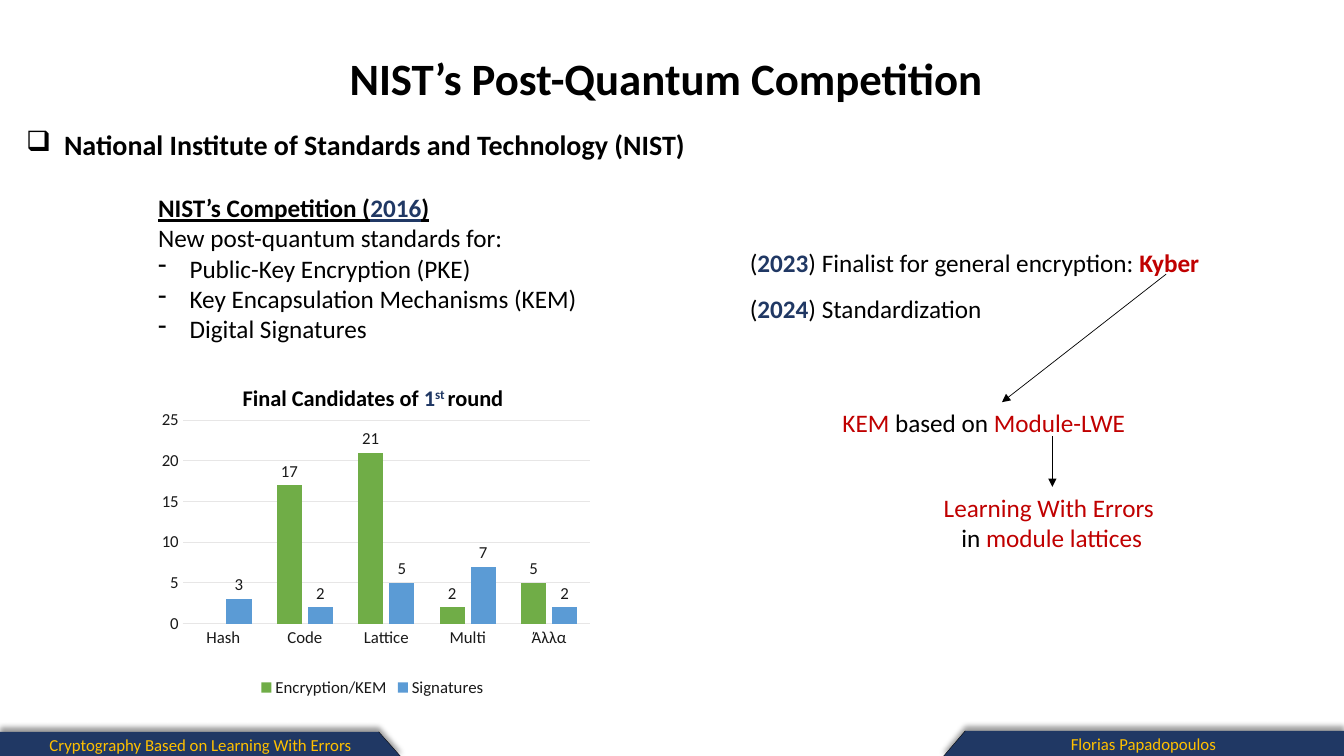
"""Build the slide on NIST's post-quantum competition."""
from lxml.etree import SubElement
from pptx import Presentation
from pptx.chart.data import CategoryChartData
from pptx.dml.color import RGBColor
from pptx.enum.chart import XL_CHART_TYPE as ChartType, XL_LABEL_POSITION as LabelPos
from pptx.enum.chart import XL_LEGEND_POSITION as LegendPos, XL_TICK_MARK as Tick
from pptx.enum.shapes import MSO_CONNECTOR as Connector
from pptx.enum.text import MSO_ANCHOR as Anchor, PP_ALIGN as Align
from pptx.oxml.ns import qn
from pptx.util import Pt

BLACK = RGBColor(0x00, 0x00, 0x00)
NAVY = RGBColor(0x20, 0x38, 0x64)
RED = RGBColor(0xC0, 0x00, 0x00)
GOLD = RGBColor(0xFF, 0xC0, 0x00)
INK = RGBColor(0x19, 0x19, 0x19)
GRID = RGBColor(0xE7, 0xE6, 0xE6)
GREEN = RGBColor(0x70, 0xAD, 0x47)
BLUE = RGBColor(0x5B, 0x9B, 0xD5)
FONT = "Calibri"
WIDTH, HEIGHT = 960, 540

TITLE = [[("NIST’s Post-Quantum Competition ", BLACK, "b")]]
INSTITUTE = [[("National Institute of Standards and Technology (NIST)", BLACK, "b")]]
COMPETITION = [
    [("NIST’s Competition (", BLACK, "bu"), ("2016", NAVY, "bu"), (")", BLACK, "bu")],
    [("New post-quantum standards for:", BLACK, "")],
    [("Public-Key Encryption (PKE)", BLACK, "")],
    [("Key Encapsulation Mechanisms (KEM)", BLACK, "")],
    [("Digital Signatures", BLACK, "")],
]
CHART_HEADING = [[("Final Candidates of ", BLACK, "b"), ("1", NAVY, "b"),
                  ("st ", NAVY, "b^"), ("round", BLACK, "b")]]
FINALIST = [[("(", BLACK, ""), ("2023", NAVY, "b"),
             (") Finalist for general encryption: ", BLACK, ""), ("Kyber", RED, "b")]]
STANDARD = [[("(", BLACK, ""), ("2024", NAVY, "b"), (") Standardization", BLACK, "")]]
KEM_BASIS = [[("KEM ", RED, ""), ("based on", BLACK, ""), (" Module-LWE", RED, "")]]
LATTICES = [[("Learning With Errors ", RED, "")],
            [("in", BLACK, ""), (" module lattices", RED, "")]]

FAMILIES = ["Hash", "Code", "Lattice", "Multi", "Άλλα"]
CANDIDATES = [("Encryption/KEM", (None, 17, 21, 2, 5), GREEN),
              ("Signatures", (3, 2, 5, 7, 2), BLUE)]
PLOT_AREA = {"x": 0.09, "y": 0.06, "w": 0.88, "h": 0.68}

TAB_WIDTH, TAB_SLANT = 286.5, 16
FOOTER_TABS = [("Florias Papadopoulos", WIDTH, -1, 522),
               ("Cryptography Based on Learning With Errors", 0, 1, 522.7)]
ARROWS = [((833, 195.8), (715.7, 287.3)), ((751.7, 311.8), (751.7, 347.8))]

deck = Presentation()
deck.slide_width, deck.slide_height = Pt(WIDTH), Pt(HEIGHT)
slide = deck.slides.add_slide(deck.slide_layouts[5])
shapes = slide.shapes


def style(font, size, color):
    font.name, font.size, font.color.rgb = FONT, Pt(size), color


def write(frame, lines, size, align=Align.LEFT, bullets=None):
    for number, line in enumerate(lines):
        paragraph = frame.paragraphs[0] if number == 0 else frame.add_paragraph()
        paragraph.alignment = align
        if bullets and number in bullets:
            mark, indent = bullets[number]
            props = paragraph._p.get_or_add_pPr()
            props.set("marL", str(Pt(indent)))
            props.set("indent", str(-Pt(indent)))
            SubElement(props, qn("a:buChar"), char=mark)
        for words, color, marks in line:
            run = paragraph.add_run()
            run.text = words
            style(run.font, size, color)
            run.font.bold = "b" in marks
            run.font.underline = "u" in marks
            if "^" in marks:
                run.font._element.set("baseline", "30000")


def add_text(box, lines, size=18, align=Align.LEFT, bullets=None, inset=True, wrap=True):
    frame = shapes.add_textbox(*map(Pt, box)).text_frame
    frame.word_wrap = wrap
    if not inset:
        frame.margin_left = frame.margin_right = frame.margin_top = frame.margin_bottom = 0
    write(frame, lines, size, align, bullets)


def add_line(start, end, width, arrow=False):
    connector = shapes.add_connector(Connector.STRAIGHT, *map(Pt, start + end))
    connector.line.color.rgb = BLACK
    connector.line.width = Pt(width)
    if arrow:
        SubElement(connector.line._get_or_add_ln(), qn("a:tailEnd"), type="triangle")
    SubElement(connector._element.spPr, qn("a:effectLst"))


def add_footer_tab(words, edge, direction, top):
    shoulder = edge + direction * (TAB_WIDTH - TAB_SLANT)
    foot = edge + direction * TAB_WIDTH
    outline = shapes.build_freeform(Pt(edge), Pt(top), scale=1.0)
    outline.add_line_segments([(Pt(shoulder), Pt(top)), (Pt(foot), Pt(HEIGHT + 0.7)),
                               (Pt(edge), Pt(HEIGHT + 0.7))])
    tab = outline.convert_to_shape()
    tab.fill.solid()
    tab.fill.fore_color.rgb = NAVY
    tab.line.fill.background()
    tab.shadow.inherit = False
    effects = tab._element.spPr.find(qn("a:effectLst"))
    shadow = SubElement(effects, qn("a:outerShdw"), blurRad=str(Pt(4)), dist=str(Pt(3)),
                        dir="16200000", rotWithShape="0")
    shade = SubElement(shadow, qn("a:srgbClr"), val=str(BLACK))
    SubElement(shade, qn("a:alpha"), val="40000")
    tab.text_frame.vertical_anchor = Anchor.MIDDLE
    write(tab.text_frame, [[(words, GOLD, "")]], 12, Align.CENTER)
    add_line((shoulder, top), (foot, HEIGHT + 0.7), 0.25)


def add_candidates_chart(box):
    data = CategoryChartData()
    data.categories = FAMILIES
    for name, counts, _ in CANDIDATES:
        data.add_series(name, counts)
    chart = shapes.add_chart(ChartType.COLUMN_CLUSTERED, *map(Pt, box), data).chart
    style(chart.font, 12, INK)
    chart.has_title = False
    chart.has_legend = True
    chart.legend.position = LegendPos.BOTTOM
    chart.legend.include_in_layout = False
    style(chart.legend.font, 12, INK)

    bars = chart.plots[0]
    bars.gap_width, bars.overlap, bars.vary_by_categories = 100, -24, False
    for series, (_, _, color) in zip(bars.series, CANDIDATES):
        series.format.fill.solid()
        series.format.fill.fore_color.rgb = color
        labels = series.data_labels
        labels.show_value, labels.position = True, LabelPos.OUTSIDE_END
        style(labels.font, 12, INK)

    for axis in (chart.category_axis, chart.value_axis):
        axis.major_tick_mark = axis.minor_tick_mark = Tick.NONE
        style(axis.tick_labels.font, 12, INK)
    chart.category_axis.format.line.color.rgb = GRID
    chart.category_axis.format.line.width = Pt(1)
    counts_axis = chart.value_axis
    counts_axis.minimum_scale, counts_axis.maximum_scale, counts_axis.major_unit = 0, 25, 5
    counts_axis.format.line.fill.background()
    counts_axis.major_gridlines.format.line.color.rgb = GRID
    counts_axis.major_gridlines.format.line.width = Pt(0.75)

    plot_area = chart._chartSpace.chart.plotArea
    layout = plot_area.find(qn("c:layout"))
    if layout is None:
        layout = SubElement(plot_area, qn("c:layout"))
        plot_area.insert(0, layout)
    manual = SubElement(layout, qn("c:manualLayout"))
    SubElement(manual, qn("c:layoutTarget"), val="inner")
    for side in "xy":
        SubElement(manual, qn(f"c:{side}Mode"), val="edge")
    for side, share in PLOT_AREA.items():
        SubElement(manual, qn(f"c:{side}"), val=str(share))


title = shapes.title
title.left, title.top, title.width, title.height = map(Pt, (236.2, 32.4, 486.7, 46))
title.text_frame.word_wrap = False
title.text_frame.vertical_anchor = Anchor.MIDDLE
write(title.text_frame, TITLE, 32, Align.CENTER)

for footer_tab in FOOTER_TABS:
    add_footer_tab(*footer_tab)
add_text((18.7, 91.4, 478, 24.5), INSTITUTE, 20, bullets={0: ("❑", 27)},
         inset=False, wrap=False)
add_candidates_chart((100.8, 287.3, 330.5, 213.8))
add_text((153.4, 274.3, 226, 19.4), CHART_HEADING, 16, Align.CENTER, inset=False)
add_text((528.5, 205.9, 189.4, 28.8), STANDARD)
add_text((105.8, 133.9, 330.5, 116.6), COMPETITION,
         bullets=dict.fromkeys((2, 3, 4), ("-", 22.5)))
add_text((528.5, 172.8, 348.5, 28.8), FINALIST)
add_text((589, 287.3, 227.5, 28.8), KEM_BASIS, align=Align.CENTER)
add_text((658.8, 347.8, 185, 51), LATTICES, align=Align.CENTER)
for start, end in ARROWS:
    add_line(start, end, 0.5, arrow=True)

deck.save("out.pptx")
